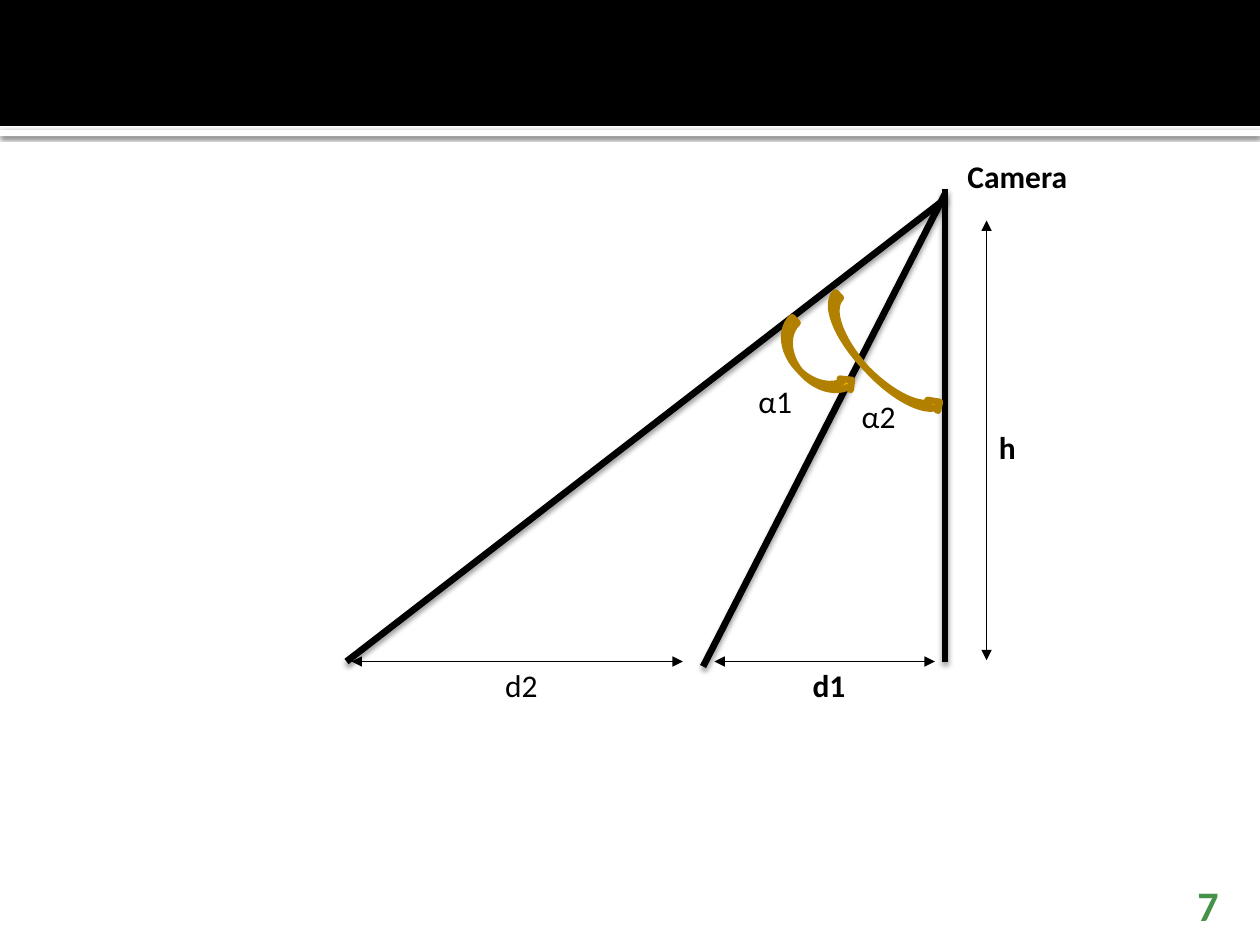
import pptx
import pptx.util
import pptx.dml.color
import pptx.enum.shapes
import pptx.enum.text
from lxml import etree
from pptx.util import Pt

NS = "{http://schemas.openxmlformats.org/drawingml/2006/main}"


def hue(code):
    return pptx.dml.color.RGBColor.from_string(code)


def shade(shape, blur=0, dist=0, alpha=0):
    """Set a downward shadow, or none when alpha is 0."""
    props = shape._element.spPr
    effects = etree.SubElement(props, NS + "effectLst")
    if alpha:
        outer = etree.SubElement(
            effects, NS + "outerShdw", blurRad=str(Pt(blur)), dist=str(Pt(dist)),
            dir="5400000", algn="ctr", rotWithShape="0")
        color = etree.SubElement(outer, NS + "srgbClr", val="000000")
        etree.SubElement(color, NS + "alpha", val=str(alpha * 1000))


deck = pptx.Presentation()
deck.slide_width, deck.slide_height = Pt(720), Pt(540)
slide = deck.slides.add_slide(deck.slide_layouts[6])
shapes = slide.shapes
kinds = pptx.enum.shapes.MSO_SHAPE

# Header band with the white strip below it
for top, height, fill, glow in [(74.16, 3.6, "FFFFFF", (2.5, 0.8, 60)),
                                (0, 72, "000000", ())]:
    band = shapes.add_shape(kinds.RECTANGLE, 0, Pt(top), Pt(720), Pt(height))
    band.fill.solid()
    band.fill.fore_color.rgb = hue(fill)
    band.line.fill.background()
    shade(band, *glow)

# Sight lines (thick, shadowed) and dimension lines (thin, two arrowheads)
base = 378
lines = [
    (540, 108, 540, base, True),
    (540, 110.88, 401.76, 380.88, True),
    (540, 113.76, 198, base, True),
    (408.24, base, 534.24, base, False),
    (200.88, base, 390.24, base, False),
    (563.76, 377.28, 563.76, 126, False),
]
for x1, y1, x2, y2, sight in lines:
    line = shapes.add_connector(pptx.enum.shapes.MSO_CONNECTOR.STRAIGHT,
                                Pt(x1), Pt(y1), Pt(x2), Pt(y2))
    line.line.color.rgb = hue("000000")
    line.line.width = Pt(3.82 if sight else 0.5)
    if sight:
        shade(line, 3.1, 2, 38)
    else:
        for end in ("headEnd", "tailEnd"):
            etree.SubElement(line.line._get_or_add_ln(), NS + end, type="triangle")
        shade(line)

# Angle arrows
for left, top, width, height in [(455.76, 180, 18, 54),
                                 (493.92, 160.56, 17.28, 90.72)]:
    arc = shapes.add_shape(kinds.CURVED_RIGHT_ARROW,
                           Pt(left), Pt(top), Pt(width), Pt(height))
    arc.rotation = 316.4
    arc.fill.solid()
    arc.fill.fore_color.rgb = hue("F0AD00")
    arc.line.color.rgb = hue("B28000")
    arc.line.width = Pt(3.78)
    shade(arc)

# Labels
labels = [
    ("d1", 457.2, 377.28, 66.24, True),
    ("d2", 281.52, 377.28, 66.24, False),
    ("α1", 426.24, 214.56, 66.24, False),
    ("α2", 485.28, 223.2, 66.24, False),
    ("h", 563.76, 241.2, 66.24, True),
    ("Camera", 545.76, 86.4, 72, True),
]
for text, left, top, width, bold in labels:
    box = shapes.add_textbox(Pt(left), Pt(top), Pt(width), Pt(28.8))
    frame = box.text_frame
    frame.word_wrap = True
    frame.auto_size = pptx.enum.text.MSO_AUTO_SIZE.SHAPE_TO_FIT_TEXT
    frame.text = text
    font = frame.paragraphs[0].runs[0].font
    font.name, font.size, font.bold = "Calibri", Pt(18), bold
    font.color.rgb = hue("000000")

# Slide number
box = shapes.add_textbox(Pt(645.84), Pt(509.76), Pt(57.6), Pt(21.6))
frame = box.text_frame
frame.word_wrap = True
frame.margin_bottom = 0
frame.vertical_anchor = pptx.enum.text.MSO_ANCHOR.BOTTOM
frame.text = "7"
para = frame.paragraphs[0]
para.alignment = pptx.enum.text.PP_ALIGN.RIGHT
font = para.runs[0].font
font.name, font.size, font.bold = "Calibri", Pt(24), True
font.color.rgb = hue("479249")

deck.save("out.pptx")
